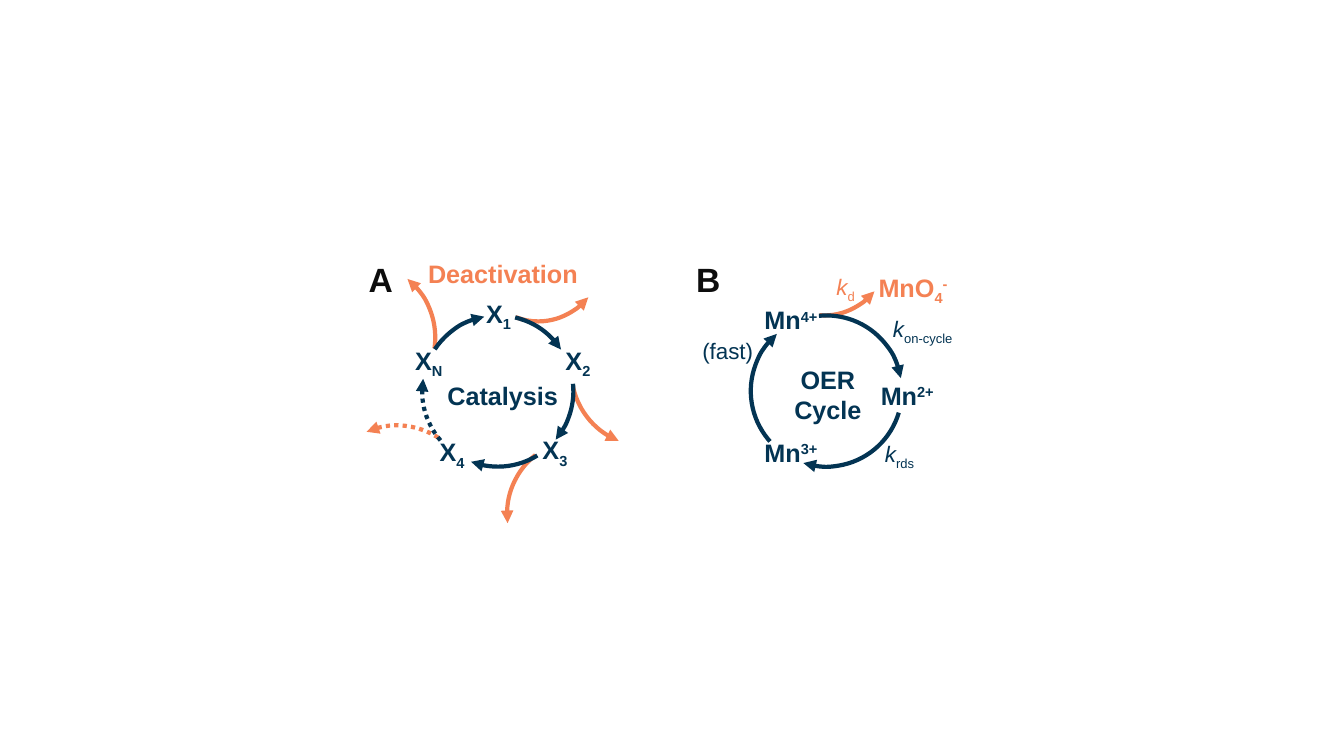
from lxml import etree
from pptx import Presentation
from pptx.dml.color import RGBColor
from pptx.enum import dml, shapes, text
from pptx.oxml import ns
from pptx.util import Cm, Pt

NAVY = RGBColor(0x03, 0x34, 0x53)
ORANGE = RGBColor(0xF4, 0x81, 0x53)
BLACK = RGBColor(0x0D, 0x0D, 0x0D)
CIRCLE = 3.81
SUB, SUPER = -25000, 30000
LEFT, CENTER, RIGHT = text.PP_ALIGN.LEFT, text.PP_ALIGN.CENTER, text.PP_ALIGN.RIGHT


def add_arc(s, x, y, start, end, color, arrow, rotation=0, width=CIRCLE, dotted=False):
    """Draw an arc clockwise from start to end degrees; arrow is headEnd or tailEnd."""
    sp = s.shapes.add_shape(shapes.MSO_SHAPE.ARC, Cm(x), Cm(y), Cm(width), Cm(CIRCLE))
    sp.shadow.inherit = False
    # Angles are stored in 1/60000 degree, adjustments in 1/100000.
    sp.adjustments[0] = start * 0.6
    sp.adjustments[1] = end * 0.6
    sp.rotation = rotation
    sp.fill.background()
    sp.line.color.rgb = color
    sp.line.width = Pt(3)
    if dotted:
        sp.line.dash_style = dml.MSO_LINE.ROUND_DOT
    ln = sp.line._get_or_add_ln()
    etree.SubElement(ln, ns.qn(f"a:{arrow}"), type="triangle")


def add_label(s, x, y, w, h, lines, color=NAVY, size=18, bold=True, italic=False,
              align=CENTER, inset=False):
    """Write lines of (text, baseline) runs; only unshifted runs take the italic."""
    sp = s.shapes.add_textbox(Cm(x), Cm(y), Cm(w), Cm(h))
    tf = sp.text_frame
    tf.word_wrap = True
    if not inset:
        tf.margin_left = tf.margin_right = tf.margin_top = tf.margin_bottom = 0
    for i, runs in enumerate(lines):
        p = tf.add_paragraph() if i else tf.paragraphs[0]
        p.alignment = align
        for content, baseline in runs:
            r = p.add_run()
            r.text = content
            r.font.name = "Arial"
            r.font.size = Pt(size)
            r.font.bold = bold
            r.font.italic = italic and not baseline
            r.font.color.rgb = color
            if baseline:
                r._r.get_or_add_rPr().set("baseline", str(baseline))


def add_plain(s, x, y, w, h, content, **style):
    add_label(s, x, y, w, h, [[(line, 0)] for line in content.split("\n")], **style)


def add_rate(s, x, y, w, h, index, **style):
    """Write a rate constant: an italic k with its index."""
    add_label(s, x, y, w, h, [[("k", 0), (index, SUB)]],
              size=16, bold=False, italic=True, **style)


def add_catalysis(s):
    for x, y, start, end, rotation, width, dotted in (
        (7.16, 6.6, 328.56, 27.58, 340.7, CIRCLE, False),
        (14.4, 7.44, 111.95, 168.5, 0, CIRCLE, False),
        (12.78, 11.05, 173.08, 231.38, 0, CIRCLE, False),
        (8.1, 10.72, 265.58, 324.77, 340.7, CIRCLE, True),
        (11.84, 4.29, 45.81, 107.5, 0, 3.45, False),
    ):
        add_arc(s, x, y, start, end, ORANGE, "headEnd", rotation, width, dotted)
    for start, end, rotation, dotted in (
        (303.91, 349.39, 50.6, False),
        (232.67, 276.13, 50.6, False),
        (106.55, 156.62, 32.7, True),
        (17.68, 69.9, 40.8, False),
        (162.92, 209.03, 50.6, False),
    ):
        add_arc(s, 10.64, 7.95, start, end, NAVY, "tailEnd", rotation, dotted=dotted)
    for index, x, y in (("1", 12.07, 7.52), ("2", 14.07, 8.69), ("3", 13.49, 10.95),
                        ("4", 10.9, 11), ("N", 10.31, 8.69)):
        add_label(s, x, y, 0.99, 0.97, [[("X", 0), (index, SUB)]])
    add_plain(s, 10.77, 6.5, 3.81, 0.76, "Deactivation", color=ORANGE)
    add_plain(s, 11.25, 9.58, 2.84, 0.76, "Catalysis")
    add_plain(s, 8.86, 6.53, 1.47, 1.02, "A", color=BLACK, size=24)


def add_oer_cycle(s):
    add_arc(s, 19.05, 4.14, 45.81, 93.65, ORANGE, "headEnd", width=3.45)
    for start, end in ((326.01, 57.1), (213.75, 299.55), (87.62, 178.46)):
        add_arc(s, 18.92, 7.95, start, end, NAVY, "tailEnd", 50.6)
    for charge, x, y in (("2+", 21.95, 9.58), ("3+", 19.02, 11.02), ("4+", 19.02, 7.67)):
        add_label(s, x, y, 1.83, 0.76, [[("Mn", 0), (charge, SUPER)]])
    add_label(s, 21.92, 6.86, 2.18, 0.76,
              [[("MnO", 0), ("4", SUB), ("-", SUPER)]], color=ORANGE)
    add_plain(s, 19.71, 9.17, 2.31, 1.55, "OER\nCycle")
    add_plain(s, 17.45, 8.36, 2.26, 0.94, "(fast)",
              size=16, bold=False, align=LEFT, inset=True)
    add_rate(s, 21.74, 7.95, 2.26, 0.69, "on-cycle", align=RIGHT)
    add_rate(s, 20.83, 6.76, 1.52, 0.94, "d", color=ORANGE, align=LEFT, inset=True)
    add_rate(s, 22.05, 10.97, 1.47, 0.94, "rds", align=LEFT, inset=True)
    add_plain(s, 17.15, 6.53, 1.4, 1.02, "B", color=BLACK, size=24)


def main():
    prs = Presentation()
    prs.slide_width, prs.slide_height = Cm(33.87), Cm(19.05)
    s = prs.slides.add_slide(prs.slide_layouts[6])
    add_catalysis(s)
    add_oer_cycle(s)
    prs.save("out.pptx")


if __name__ == "__main__":
    main()
